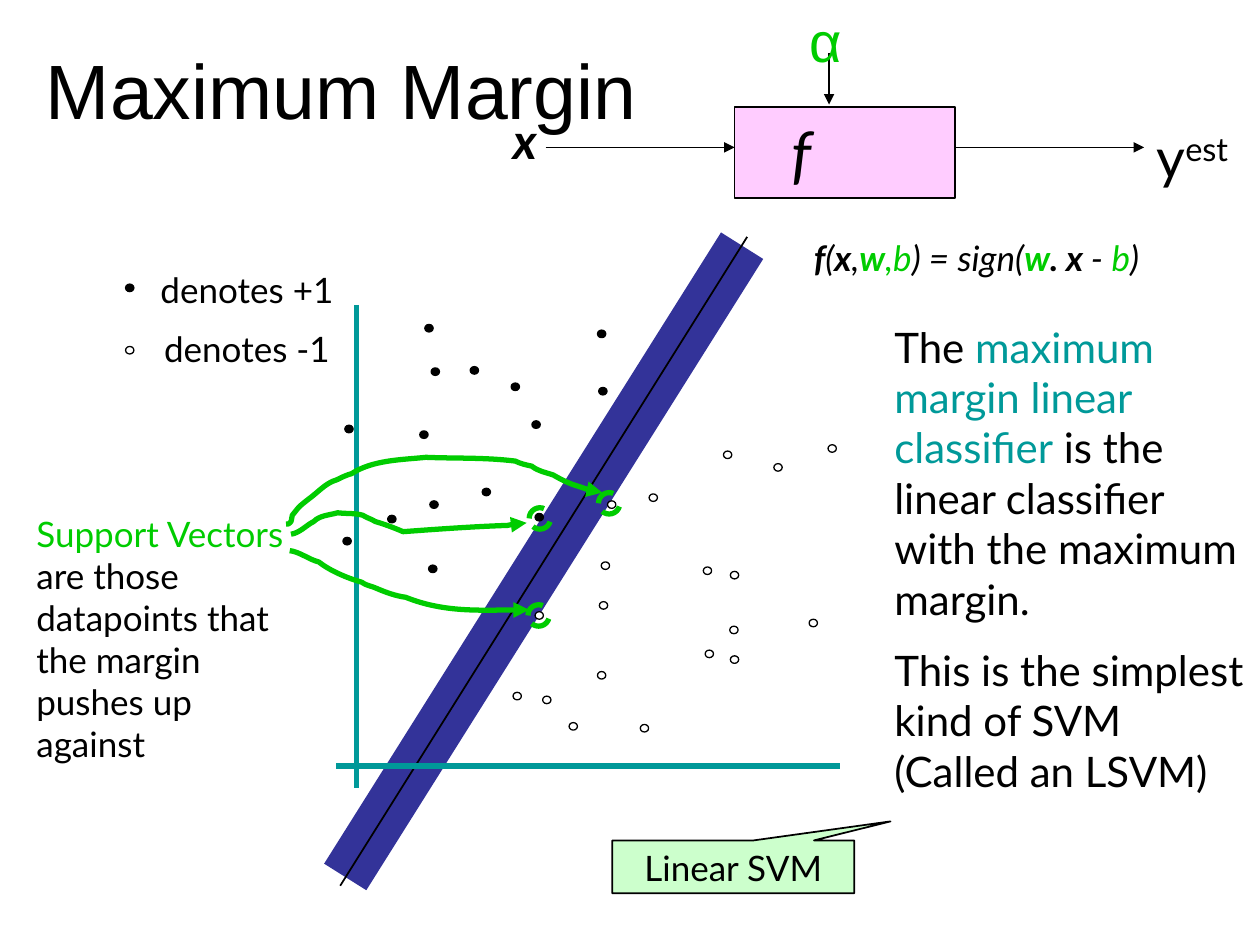
from lxml import etree
from pptx import Presentation
from pptx import util as u
from pptx.dml.color import RGBColor
from pptx.enum import dml, shapes, text
from pptx.oxml import ns

BLACK = RGBColor(0x00, 0x00, 0x00)
WHITE = RGBColor(0xFF, 0xFF, 0xFF)
GREEN = RGBColor(0x00, 0xCC, 0x00)
TEAL = RGBColor(0x00, 0x99, 0x99)
NAVY = RGBColor(0x33, 0x33, 0x99)
PINK = RGBColor(0xFF, 0xCC, 0xFF)
MINT = RGBColor(0xCC, 0xFF, 0xCC)

COLUMNS, ROWS = 100, 75
CELL = u.Inches(0.1)
FONT = "Lato"
LEFT, CENTER = text.PP_ALIGN.LEFT, text.PP_ALIGN.CENTER
OVAL = shapes.MSO_SHAPE.OVAL

POSITIVE = [
    (10.3, 22.85), (27.55, 42.95), (47.85, 31.05), (37.65, 29.4), (42.8, 41.05),
    (33.65, 34.5), (34.55, 29.5), (34.45, 40.05), (42.55, 33.7), (34.35, 45.15),
    (47.75, 26.5), (34.05, 26.05), (38.6, 39.05), (31.1, 41.2), (40.9, 30.7),
    (27.7, 34.05),
]
NEGATIVE = [
    (10.3, 27.8), (41.05, 55.25), (48.55, 40.05), (56.15, 45.3), (42.8, 48.85),
    (66.05, 35.6), (58.25, 50), (51.85, 39.5), (64.55, 49.45), (45.5, 57.65),
    (58.3, 45.65), (48.05, 44.9), (61.75, 37.1), (57.75, 36.1), (56.3, 51.9),
    (51.15, 57.8), (47.75, 53.6), (47.9, 48.05), (43.4, 55.55), (58.3, 52.35),
]
SUPPORT_VECTORS = [(48.35, 39.95), (42.85, 41.15), (42.75, 48.85)]

POINTERS = [
    [(23.1, 42.4), (23.8, 42.3), (24.3, 41.7), (24.9, 41.4),
     (25.4, 40.9), (26.1, 40.9), (26.8, 40.7),
     (27.7, 40.8), (28.1, 40.7), (28.8, 40.9),
     (29.1, 41.1), (29.5, 41.2), (29.8, 41.4),
     (30.5, 41.6), (31.3, 41.9), (32, 42.2),
     (34.7, 42), (37.5, 41.8), (40.3, 41.7),
     (40.8, 41.6), (41.3, 41.5), (41.8, 41.5)],
    [(22.7, 41.6), (22.8, 41.6), (23, 41.6), (23, 41.5),
     (23.2, 41.4), (23.1, 41.1), (23.2, 40.9),
     (23.3, 40.7), (23.5, 40.6), (23.6, 40.4),
     (23.8, 40.1), (24.8, 39.4), (24.9, 39.3),
     (25.5, 38.8), (26, 38.3), (26.7, 38.1),
     (27.1, 37.9), (27.5, 37.7), (27.9, 37.6),
     (29.6, 36.5), (31.9, 36.5), (33.8, 36.3),
     (36.2, 36.4), (38.5, 36.3), (40.9, 36.6),
     (41.3, 36.8), (41.7, 36.9), (42.2, 37),
     (42.7, 37.4), (43.3, 37.5), (43.9, 37.7),
     (44.6, 38.1), (45.2, 38.4), (45.9, 38.6),
     (46.5, 38.8), (47.2, 39.1), (47.8, 39.1)],
    [(23, 43.7), (23.8, 43.8), (24.5, 44.4), (25.3, 44.6),
     (26.2, 45.3), (27.6, 45.9), (28.7, 46.2),
     (29.1, 46.5), (29.5, 46.5), (29.9, 46.7),
     (30.6, 47), (31.4, 47.3), (32.2, 47.4),
     (35.2, 48.6), (38.8, 48.4), (42, 48.4)],
]


def grid(*cells):
    return [round(cell * CELL) for cell in cells]


def style_line(shape, color, width):
    shape.line.color.rgb = color
    shape.line.width = u.Pt(width)


def add_arrowhead(shape):
    line = shape.line._get_or_add_ln()
    etree.SubElement(line, ns.qn("a:tailEnd"), type="triangle")


def add_line(slide, start, end, color=BLACK, width=1, arrow=False):
    connector = slide.shapes.add_connector(
        shapes.MSO_CONNECTOR.STRAIGHT, *grid(*start, *end))
    style_line(connector, color, width)
    if arrow:
        add_arrowhead(connector)
    etree.SubElement(connector._element.spPr, ns.qn("a:effectLst"))


def add_block(slide, kind, box, fill=None, color=BLACK, width=1):
    shape = slide.shapes.add_shape(kind, *grid(*box))
    shape.shadow.inherit = False
    if fill is None:
        shape.fill.background()
    else:
        shape.fill.solid()
        shape.fill.fore_color.rgb = fill
    style_line(shape, color, width)
    return shape


def add_dots(slide, centers, fill):
    for x, y in centers:
        add_block(slide, OVAL, (x - 0.33, y - 0.3, 0.66, 0.6), fill, width=0.75)


def add_ring(slide, center):
    x, y = center
    ring = add_block(slide, OVAL, (x - 0.85, y - 0.85, 1.7, 1.7), None, GREEN, 3)
    ring.line.dash_style = dml.MSO_LINE.DASH


def add_curve(slide, points):
    start, *rest = [grid(*point) for point in points]
    builder = slide.shapes.build_freeform(*start)
    builder.add_line_segments(rest, close=False)
    curve = builder.convert_to_shape()
    segments = list(curve._element.iter(ns.qn("a:lnTo")))
    for first in range(0, len(segments), 3):
        bezier = etree.Element(ns.qn("a:cubicBezTo"))
        segments[first].addprevious(bezier)
        for segment in segments[first:first + 3]:
            bezier.append(segment[0])
            segment.getparent().remove(segment)
    curve.shadow.inherit = False
    curve.fill.background()
    style_line(curve, GREEN, 3)
    add_arrowhead(curve)


def write(shape, paragraphs, size, align=CENTER, font=FONT):
    frame = shape.text_frame
    frame.word_wrap = True
    for index, runs in enumerate(paragraphs):
        paragraph = frame.add_paragraph() if index else frame.paragraphs[0]
        paragraph.alignment = align
        if index:
            paragraph.space_before = u.Pt(size / 2)
        for words, color, style in runs:
            run = paragraph.add_run()
            run.text = words
            run.font.name = font
            run.font.size = u.Pt(size)
            run.font.color.rgb = color
            run.font.bold = "b" in style
            run.font.italic = "i" in style
            if "^" in style:
                run.font._element.set("baseline", "30000")


def add_text(slide, box, paragraphs, size, align=CENTER, font=FONT):
    write(slide.shapes.add_textbox(*grid(*box)), paragraphs, size, align, font)


def add_title(slide):
    title = slide.shapes.title
    title.left, title.top, title.width, title.height = grid(1.7, 3.3, 50.8, 7.5)
    title.text_frame.vertical_anchor = text.MSO_ANCHOR.MIDDLE
    write(title, [[("Maximum Margin", BLACK, "")]], 44, font="Arial")


def add_machine(slide):
    box = add_block(slide, shapes.MSO_SHAPE.RECTANGLE, (58.3, 8.5, 17.5, 7.2), PINK)
    box.text_frame.vertical_anchor = text.MSO_ANCHOR.MIDDLE
    box.text_frame.margin_right = u.Inches(0.78)
    write(box, [[("f", BLACK, "i")]], 36)
    for start, end in [((43.3, 11.7), (58.3, 11.7)), ((65.8, 4.2), (65.8, 8.3)),
                       ((75.8, 11.7), (90.8, 11.7))]:
        add_line(slide, start, end, arrow=True)
    add_text(slide, (38.3, 8.3, 6.7, 5.7), [[("x", BLACK, "bi")]], 28)
    add_text(slide, (63.3, 0, 4.2, 6.3), [[("α", GREEN, "")]], 32, font="Arial")
    add_text(slide, (90.8, 9.2, 9.2, 6.3),
             [[("y", BLACK, ""), ("est", BLACK, "^")]], 32, LEFT)
    add_text(slide, (60, 18.3, 35, 4.3), [[
        ("f", BLACK, "bi"), ("(", BLACK, "i"), ("x", BLACK, "bi"), (",", BLACK, "i"),
        ("w", GREEN, "bi"), (",b", GREEN, "i"), (") = sign(", BLACK, "i"),
        ("w", GREEN, "bi"), (". x ", BLACK, "bi"), ("- ", BLACK, "i"),
        ("b", GREEN, "i"), (")", BLACK, "i")]], 20)


def add_plot(slide):
    add_line(slide, (28.3, 24.2), (28.3, 62.5), TEAL, 3)
    add_line(slide, (26.7, 60.8), (66.7, 60.8), TEAL, 3)
    add_dots(slide, POSITIVE, BLACK)
    add_dots(slide, NEGATIVE, WHITE)
    for points in POINTERS:
        add_curve(slide, points)
    for center in SUPPORT_VECTORS:
        add_ring(slide, center)


def add_explanations(slide):
    add_text(slide, (9.2, 20.8, 20.8, 9.3),
             [[("denotes +1", BLACK, "")], [("denotes -1", BLACK, "")]], 20)
    add_text(slide, (70, 25, 30, 43.4), [
        [("The ", BLACK, ""), ("maximum margin linear classifier", TEAL, ""),
         (" is the linear classifier with the maximum margin.", BLACK, "")],
        [("This is the simplest kind of SVM (Called an LSVM)", BLACK, "")]], 24, LEFT)
    add_text(slide, (1.9, 40.2, 23.2, 21), [[
        ("Support Vectors ", GREEN, ""),
        ("are those datapoints that the margin pushes up against", BLACK, "")]],
        20, LEFT)
    callout = add_block(slide, shapes.MSO_SHAPE.RECTANGULAR_CALLOUT,
                        (48.6, 66.7, 19.2, 4.2), MINT)
    callout.adjustments[0], callout.adjustments[1] = 0.65, -0.86
    callout.text_frame.vertical_anchor = text.MSO_ANCHOR.TOP
    write(callout, [[("Linear SVM", BLACK, "")]], 20)


def main():
    presentation = Presentation()
    presentation.slide_width, presentation.slide_height = grid(COLUMNS, ROWS)
    slide = presentation.slides.add_slide(presentation.slide_layouts[5])
    add_line(slide, (27.4, 69.6), (58.9, 19.5), NAVY, 28.5)
    add_line(slide, (27, 70.3), (59.3, 18.8))
    add_title(slide)
    add_machine(slide)
    add_plot(slide)
    add_explanations(slide)
    presentation.save("out.pptx")


if __name__ == "__main__":
    main()
